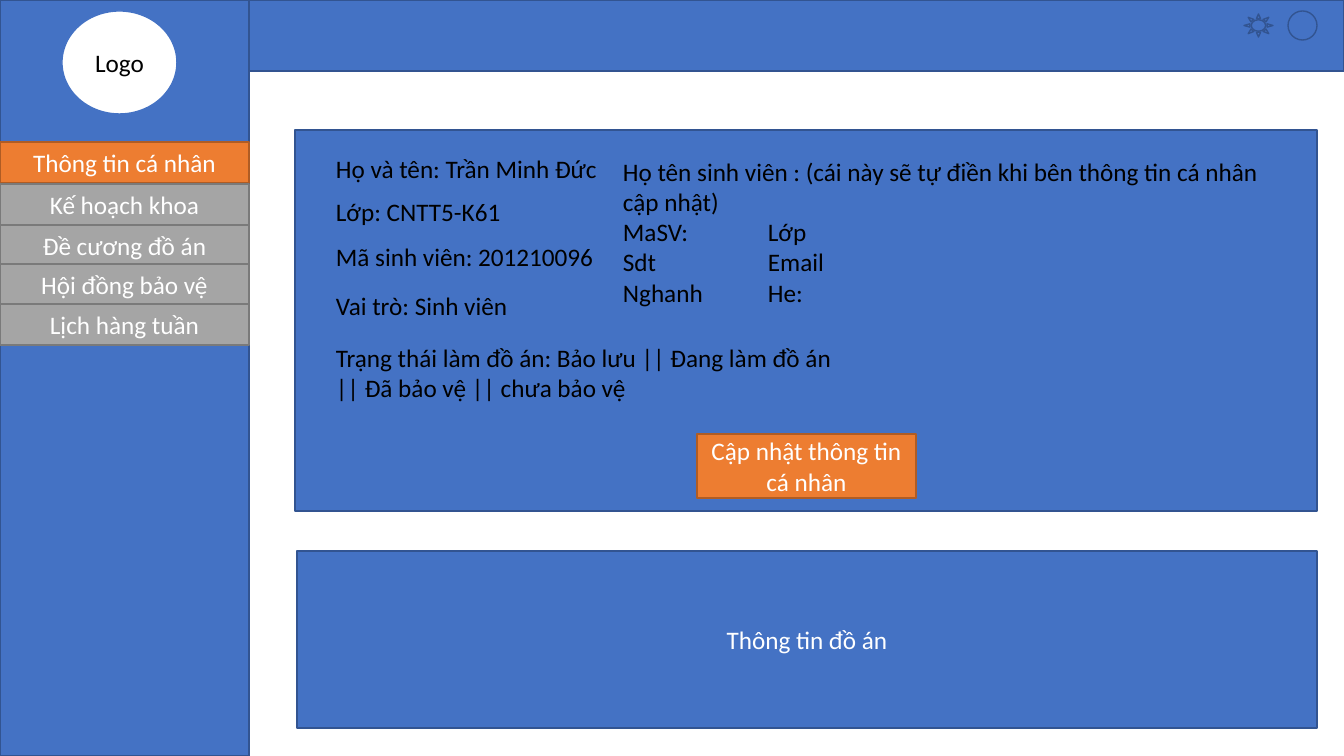
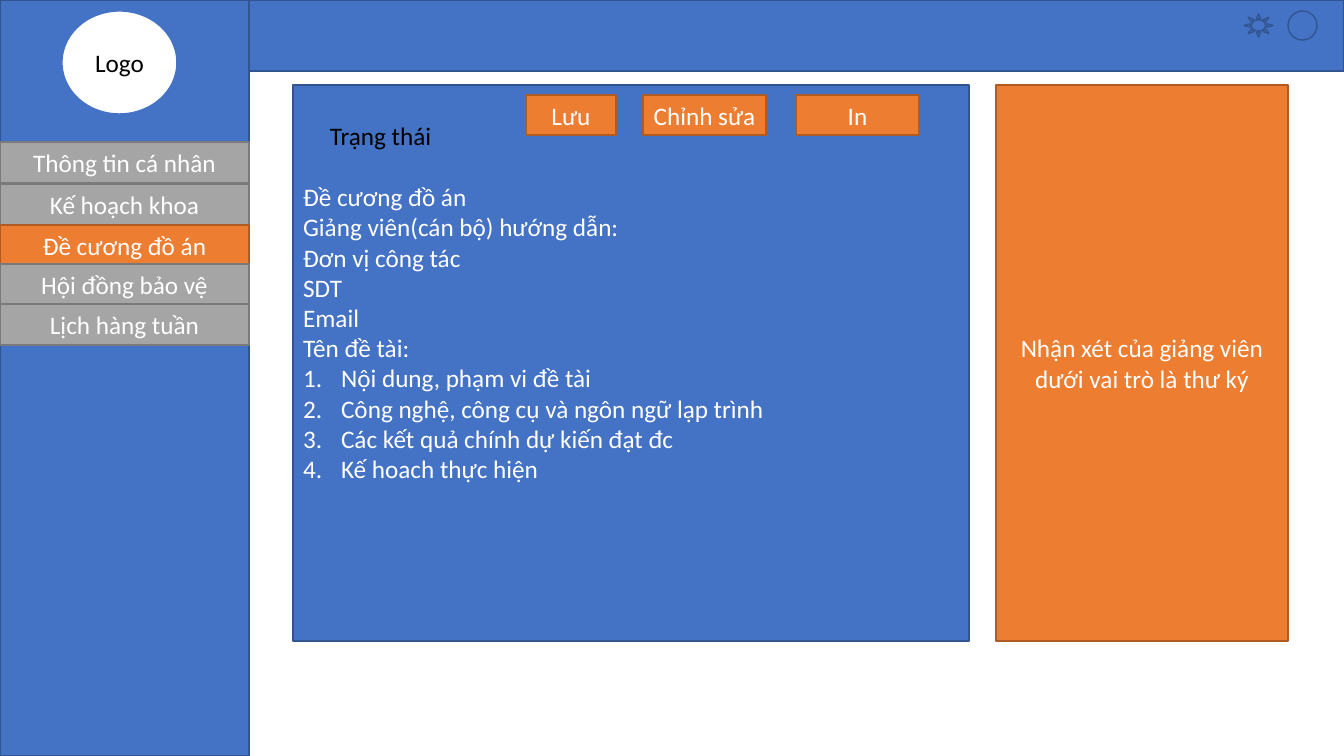
from dataclasses import dataclass

from lxml.etree import SubElement
from pptx import Presentation
from pptx.dml.color import RGBColor
from pptx.enum.shapes import MSO_SHAPE as Preset
from pptx.enum.text import MSO_ANCHOR as Anchor, MSO_AUTO_SIZE as AutoSize, PP_ALIGN as Align
from pptx.oxml.ns import qn
from pptx.util import Emu, Pt

SLIDE_WIDTH, SLIDE_HEIGHT = 1344, 756
EMU_PER_PX = 12192000 / SLIDE_WIDTH
FONT, FONT_SIZE = "Calibri", 18
WHITE, BLACK = "FFFFFF", "000000"
SIDEBAR_WIDTH, BAND_HEIGHT = 249, 71
LIST_INDENT = 38
TAB_STOP = 145


@dataclass(frozen=True)
class Area:
    left: int
    top: int
    width: int
    height: int


@dataclass(frozen=True)
class Style:
    fill: str
    line: str
    text: str = WHITE


@dataclass(frozen=True)
class Block:
    area: Area
    style: Style
    text: str = ""
    preset: Preset = Preset.RECTANGLE


@dataclass(frozen=True)
class Note:
    area: Area
    lines: tuple[str, ...]
    wrap: bool = True


@dataclass(frozen=True)
class MenuItem:
    label: str
    top: int


BLUE = Style("4472C4", "325491")
ORANGE = Style("ED7D31", "AF5C24")
GREY = Style("A5A5A5", "7A7A7A")
LOGO = Style(WHITE, "4472C4", BLACK)

FRAME = (
    Block(Area(0, 0, SIDEBAR_WIDTH, SLIDE_HEIGHT), BLUE),
    Block(Area(62, 11, 115, 103), LOGO, "Logo", Preset.OVAL),
    Block(Area(SIDEBAR_WIDTH, 0, SLIDE_WIDTH - SIDEBAR_WIDTH, BAND_HEIGHT), BLUE),
    Block(Area(1288, 11, 29, 29), BLUE, preset=Preset.OVAL),
    Block(Area(1244, 14, 29, 23), BLUE, preset=Preset.SUN),
)
PROFILE, OUTLINE = "Thông tin cá nhân", "Đề cương đồ án"
MENU = (
    MenuItem(PROFILE, 142),
    MenuItem("Kế hoạch khoa", 184),
    MenuItem(OUTLINE, 225),
    MenuItem("Hội đồng bảo vệ", 264),
    MenuItem("Lịch hàng tuần", 304),
)

PROFILE_BLOCKS = (
    Block(Area(295, 130, 1022, 381), BLUE),
    Block(Area(697, 434, 219, 64), ORANGE, "Cập nhật thông tin cá nhân"),
    Block(Area(297, 551, 1020, 177), BLUE, "Thông tin đồ án"),
)
PROFILE_NOTES = (
    Note(Area(326, 148, 320, 40), ("Họ và tên: Trần Minh Đức",)),
    Note(Area(326, 191, 320, 40), ("Lớp: CNTT5-K61",)),
    Note(Area(326, 236, 320, 40), ("Mã sinh viên: 201210096",)),
    Note(Area(326, 285, 867, 40), ("Vai trò: Sinh viên",)),
    Note(Area(326, 337, 534, 72),
         ("Trạng thái làm đồ án: Bảo lưu || Đang làm đồ án || Đã bảo vệ || chưa bảo vệ",)),
    Note(Area(613, 151, 675, 194), (
        "Họ tên sinh viên : (cái này sẽ tự điền khi bên thông tin cá nhân cập nhật)",
        "MaSV:\tLớp",
        "Sdt\tEmail",
        "Nghanh\tHe:",
    )),
)

OUTLINE_AREA = Area(293, 85, 676, 556)
OUTLINE_BOTTOM_INSET = 66
OUTLINE_FIELDS = (
    OUTLINE,
    "Giảng viên(cán bộ) hướng dẫn:",
    "Đơn vị công tác",
    "SDT",
    "Email",
    "Tên đề tài:",
)
OUTLINE_SECTIONS = (
    "Nội dung, phạm vi đề tài",
    "Công nghệ, công cụ và ngôn ngữ lạp trình",
    "Các kết quả chính dự kiến đạt đc",
    "Kế hoach thực hiện",
)
OUTLINE_BLOCKS = (
    Block(Area(526, 95, 90, 40), ORANGE, "Lưu"),
    Block(Area(643, 95, 123, 40), ORANGE, "Chỉnh sửa"),
    Block(Area(796, 95, 123, 40), ORANGE, "In"),
    Block(Area(996, 85, 292, 556), ORANGE, "Nhận xét của giảng viên dưới vai trò là thư ký"),
)
OUTLINE_STATUS = Note(Area(320, 115, 123, 40), ("Trạng thái",), wrap=False)


def px(length: int) -> Emu:
    return Emu(round(length * EMU_PER_PX))


def color(value: str) -> RGBColor:
    return RGBColor.from_string(value)


def bounds(area: Area) -> tuple[Emu, ...]:
    return px(area.left), px(area.top), px(area.width), px(area.height)


def paint(shape, style: Style) -> None:
    shape.fill.solid()
    shape.fill.fore_color.rgb = color(style.fill)
    shape.line.color.rgb = color(style.line)
    shape.line.width = Pt(1)


def add_span(para, text: str, ink: str, align: Align = Align.LEFT) -> None:
    para.alignment = align
    span = para.add_run()
    span.text = text
    span.font.name = FONT
    span.font.size = Pt(FONT_SIZE)
    span.font.color.rgb = color(ink)


def next_para(frame, index: int):
    return frame.add_paragraph() if index else frame.paragraphs[0]


def add_block(slide, block: Block) -> None:
    shape = slide.shapes.add_shape(block.preset, *bounds(block.area))
    shape.shadow.inherit = False
    paint(shape, block.style)
    if block.text:
        frame = shape.text_frame
        frame.word_wrap = True
        frame.vertical_anchor = Anchor.MIDDLE
        add_span(frame.paragraphs[0], block.text, block.style.text, Align.CENTER)


def add_note(slide, note: Note) -> None:
    frame = slide.shapes.add_textbox(*bounds(note.area)).text_frame
    frame.word_wrap = note.wrap
    frame.auto_size = AutoSize.SHAPE_TO_FIT_TEXT
    for index, line in enumerate(note.lines):
        para = next_para(frame, index)
        add_span(para, line, BLACK)
        if "\t" in line:
            stops = SubElement(para._p.get_or_add_pPr(), qn("a:tabLst"))
            SubElement(stops, qn("a:tab"), pos=str(px(TAB_STOP)), algn="l")


def set_list_style(para, numbered: bool) -> None:
    """Replace the inherited bullet, indent and spacing."""
    para.space_before = Pt(0)
    indent = px(LIST_INDENT) if numbered else 0
    properties = para._p.get_or_add_pPr()
    properties.set("marL", str(indent))
    properties.set("indent", str(-indent))
    if numbered:
        SubElement(properties, qn("a:buFont"), typeface="+mj-lt")
        SubElement(properties, qn("a:buAutoNum"), type="arabicPeriod")
    else:
        SubElement(properties, qn("a:buNone"))


def fill_outline(body) -> None:
    body.left, body.top, body.width, body.height = bounds(OUTLINE_AREA)
    paint(body, BLUE)
    frame = body.text_frame
    frame.word_wrap = True
    frame.auto_size = AutoSize.NONE
    frame.vertical_anchor = Anchor.MIDDLE
    frame.margin_bottom = px(OUTLINE_BOTTOM_INSET)
    for index, line in enumerate(OUTLINE_FIELDS + OUTLINE_SECTIONS):
        para = next_para(frame, index)
        add_span(para, line, WHITE)
        set_list_style(para, index >= len(OUTLINE_FIELDS))


def add_page(deck, layout_name: str, active: str):
    """Add a page with the sidebar, top band and menu."""
    page = deck.slides.add_slide(deck.slide_layouts.get_by_name(layout_name))
    for block in FRAME:
        add_block(page, block)
    for item in MENU:
        style = ORANGE if item.label == active else GREY
        add_block(page, Block(Area(0, item.top, SIDEBAR_WIDTH, 41), style, item.label))
    return page


def build_profile(deck) -> None:
    page = add_page(deck, "Blank", PROFILE)
    for block in PROFILE_BLOCKS:
        add_block(page, block)
    for note in PROFILE_NOTES:
        add_note(page, note)


def build_outline(deck) -> None:
    page = add_page(deck, "Title and Content", OUTLINE)
    title = page.shapes.title
    title.element.getparent().remove(title.element)
    fill_outline(page.placeholders[1])
    for block in OUTLINE_BLOCKS:
        add_block(page, block)
    add_note(page, OUTLINE_STATUS)


def main() -> None:
    deck = Presentation()
    deck.slide_width, deck.slide_height = px(SLIDE_WIDTH), px(SLIDE_HEIGHT)
    build_profile(deck)
    build_outline(deck)
    deck.save("out.pptx")


if __name__ == "__main__":
    main()
